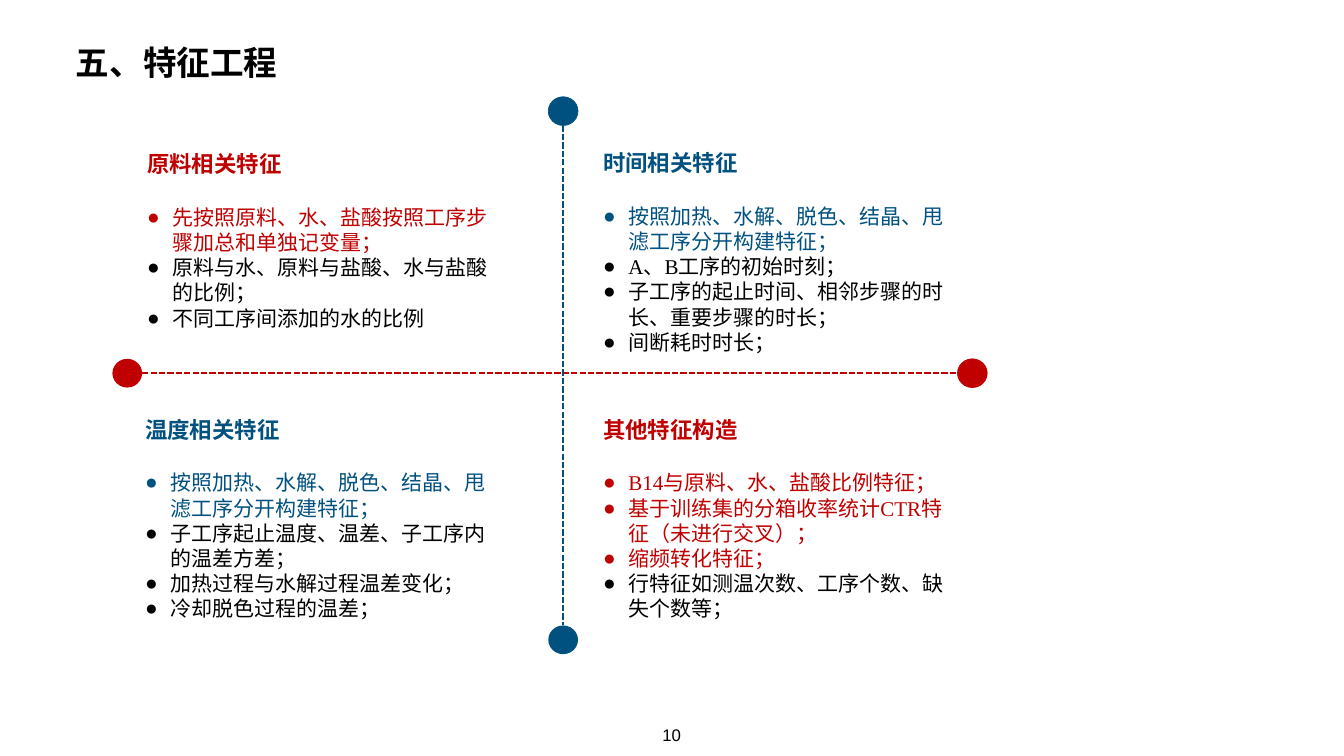
from lxml import etree
from pptx import Presentation
from pptx.dml.color import RGBColor
from pptx.enum.dml import MSO_LINE as Dash
from pptx.enum.shapes import MSO_CONNECTOR as Conn, MSO_SHAPE as Shape
from pptx.enum.text import MSO_ANCHOR as Anchor, PP_ALIGN as Align
from pptx.oxml.ns import qn
from pptx.util import Inches, Pt

INK = {"red": "C00000", "blue": "005180", "black": "000000"}
ARIAL, TIMES = "Arial", "Times New Roman"

deck = Presentation()
deck.slide_width, deck.slide_height = Inches(26.67), Inches(15)
slide = deck.slides.add_slide(deck.slide_layouts[6])


def add_box(left, top, wide, high, wrap=True):
    box = slide.shapes.add_textbox(Inches(left), Inches(top), Inches(wide), Inches(high))
    frame = box.text_frame
    frame.word_wrap = wrap
    frame.margin_left = frame.margin_right = Inches(0.06)
    frame.margin_top = frame.margin_bottom = Inches(0.06)
    return frame


def add_run(para, text, size, font, ink, bold=False):
    run = para.add_run()
    run.text = text
    run.font.size = Pt(size)
    run.font.name = font
    run.font.bold = bold
    run.font.color.rgb = RGBColor.from_string(INK[ink])


page = add_box(13.08, 14.31, 0.5, 0.5, wrap=False).paragraphs[0]
page.alignment = Align.CENTER
add_run(page, "10", 24, ARIAL, "black")

frame = add_box(0.93, 0.77, 5.15, 0.92)
frame.vertical_anchor = Anchor.MIDDLE
title = frame.paragraphs[0]
title.alignment = Align.CENTER
add_run(title, "五、特征工程", 48, ARIAL, "black", True)

quads = [
    (2.86, 2.92, 3.71, "red", "原料相关特征", [
        ("red", [("先按照原料、水、盐酸按照工序步骤加总和单独记变量；", TIMES)]),
        ("black", [("原料与水、原料与盐酸、水与盐酸的比例；", TIMES)]),
        ("black", [("不同工序间添加的水的比例", TIMES)]),
    ]),
    (11.91, 2.9, 4.22, "blue", "时间相关特征", [
        ("blue", [("按照加热、水解、脱色、结晶、甩滤工序分开构建特征；", TIMES)]),
        ("black", [("A、B工序的初始时刻；", TIMES)]),
        ("black", [("子工序的起止时间、相邻步骤的时长、重要步骤的时长；", TIMES)]),
        ("black", [("间断耗时时长", ARIAL), ("；", TIMES)]),
    ]),
    (2.82, 8.19, 4.22, "blue", "温度相关特征", [
        ("blue", [("按照加热、水解、脱色、结晶、甩滤工序分开构建特征；", TIMES)]),
        ("black", [("子工序起止温度、温差、子工序内的温差方差；", ARIAL)]),
        ("black", [("加热过程与水解过程温差变化；", ARIAL)]),
        ("black", [("冷却脱色过程的温差；", ARIAL)]),
    ]),
    (11.91, 8.19, 4.22, "red", "其他特征构造", [
        ("red", [("B14与原料、水、盐酸比例特征；", TIMES)]),
        ("red", [("基于训练集的分箱收率统计CTR特征（未进行交叉）；", TIMES)]),
        ("red", [("缩频转化特征；", TIMES)]),
        ("black", [("行特征如测温次数、工序个数、缺失个数等；", ARIAL)]),
    ]),
]
for left, top, high, ink, head, items in quads:
    frame = add_box(left, top, 7.01, high)
    para = frame.paragraphs[0]
    para.space_after = Pt(39)
    add_run(para, head, 32, ARIAL, ink, True)
    for tint, runs in items:
        para = frame.add_paragraph()
        props = para._p.get_or_add_pPr()
        props.set("marL", str(Inches(0.5)))
        props.set("indent", str(-Inches(0.5)))
        etree.SubElement(props, qn("a:buFont")).set("typeface", ARIAL)
        etree.SubElement(props, qn("a:buChar")).set("char", "●")
        for text, font in runs:
            add_run(para, text, 30, font, tint)

dots = [
    (2.23, 7.12, "red", False),
    (19, 7.12, "red", True),
    (10.88, 1.92, "blue", True),
    (10.88, 12.41, "blue", False),
]
for left, top, ink, edge in dots:
    dot = slide.shapes.add_shape(
        Shape.OVAL, Inches(left), Inches(top), Inches(0.59), Inches(0.57))
    dot.shadow.inherit = False
    tint = RGBColor.from_string(INK[ink])
    dot.fill.solid()
    dot.fill.fore_color.rgb = tint
    if edge:
        dot.line.color.rgb = tint
        dot.line.width = Pt(1)
    else:
        dot.line.fill.background()

axes = [(2.82, 7.4, 19, 7.4, "red"), (11.17, 2.49, 11.17, 12.41, "blue")]
for *ends, ink in axes:
    axis = slide.shapes.add_connector(Conn.STRAIGHT, *[Inches(end) for end in ends])
    axis.line.color.rgb = RGBColor.from_string(INK[ink])
    axis.line.width = Pt(3)
    axis.line.dash_style = Dash.SQUARE_DOT
    etree.SubElement(axis._element.spPr, qn("a:effectLst"))

deck.save("out.pptx")
